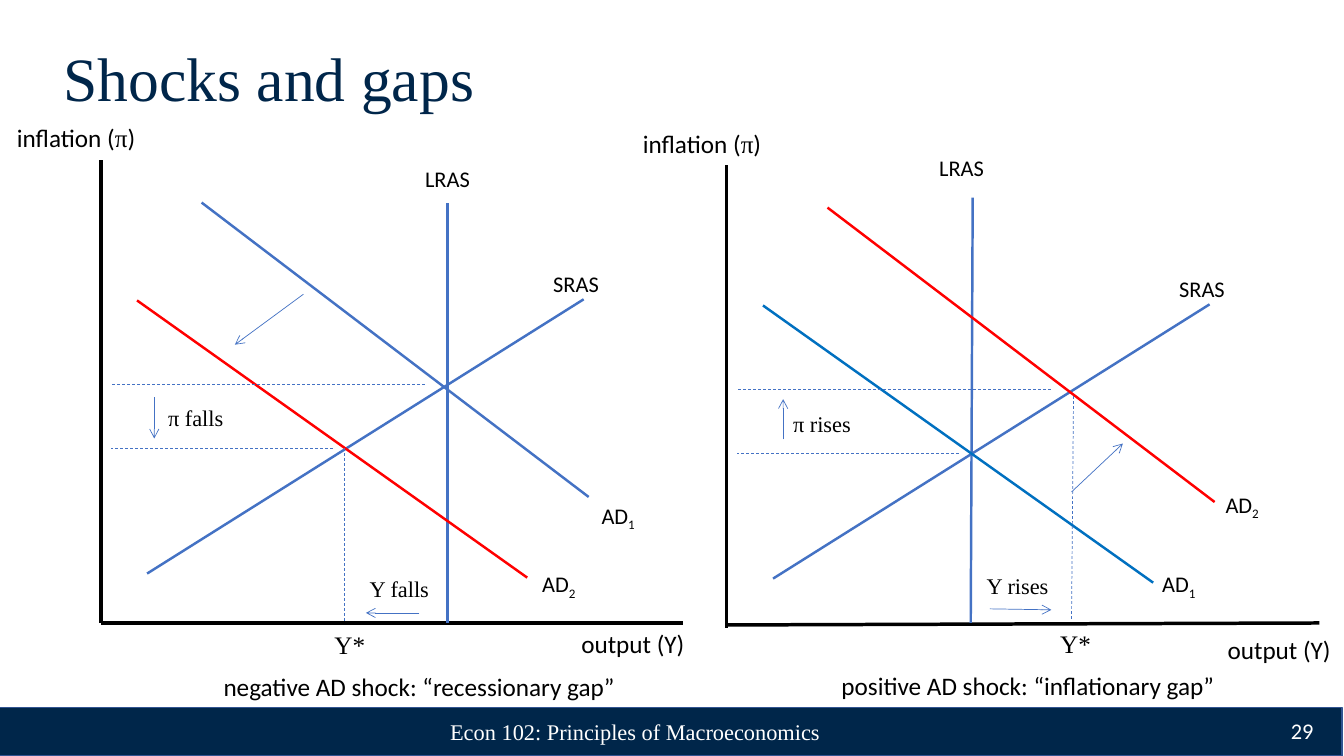
from lxml import etree
from pptx import Presentation
from pptx import util as u
from pptx.dml.color import RGBColor
from pptx.enum import dml, shapes, text
from pptx.oxml import ns

Pt = u.Pt
COLORS = {
    "navy": "00264A", "bar edge": "325491", "white": "FFFFFF", "black": "000000",
    "blue": "4472C4", "bright blue": "0070C0", "red": "FF0000",
}
SANS, SERIF = "Calibri", "Times New Roman"
LEFT, CENTER, RIGHT = text.PP_ALIGN.LEFT, text.PP_ALIGN.CENTER, text.PP_ALIGN.RIGHT

prs = Presentation()
prs.slide_width, prs.slide_height = Pt(960), Pt(540)
slide = prs.slides.add_slide(prs.slide_layouts[6])


def add_line(ends, color="blue", width=0.5, dashed=False, arrow=False):
    """Draw a straight line through ends (x1, y1, x2, y2), in points."""
    line = slide.shapes.add_connector(
        shapes.MSO_CONNECTOR.STRAIGHT, *[Pt(value) for value in ends])
    line.line.color.rgb = RGBColor.from_string(COLORS[color])
    line.line.width = Pt(width)
    if dashed:
        line.line.dash_style = dml.MSO_LINE.DASH
    if arrow:
        etree.SubElement(line.line._get_or_add_ln(), ns.qn("a:tailEnd"), type="arrow")
    etree.SubElement(line._element.spPr, ns.qn("a:effectLst"))


def add_label(box, runs, size=16, color="black", align=LEFT, framed=False):
    """Write runs of (text, font, is subscript); framed text is wrapped and inset."""
    label = slide.shapes.add_textbox(*[Pt(value) for value in box])
    frame = label.text_frame
    frame.word_wrap = framed
    if framed:
        frame.vertical_anchor = text.MSO_ANCHOR.MIDDLE
        frame.margin_left = frame.margin_right = Pt(9.36)
        frame.margin_top = frame.margin_bottom = Pt(5.04)
    else:
        frame.auto_size = text.MSO_AUTO_SIZE.SHAPE_TO_FIT_TEXT
    paragraph = frame.paragraphs[0]
    paragraph.alignment = align
    for words, font, subscript in runs:
        run = paragraph.add_run()
        run.text = words
        run.font.name, run.font.size = font, Pt(size)
        run.font.color.rgb = RGBColor.from_string(COLORS[color])
        if subscript:
            run.font._element.set("baseline", "-25000")
    return paragraph


# Title and footer
footer_bar = slide.shapes.add_shape(
    shapes.MSO_SHAPE.RECTANGLE, Pt(-1.4), Pt(505.4), Pt(960), Pt(34.6))
footer_bar.shadow.inherit = False
footer_bar.fill.solid()
footer_bar.fill.fore_color.rgb = RGBColor.from_string(COLORS["navy"])
footer_bar.line.color.rgb = RGBColor.from_string(COLORS["bar edge"])
footer_bar.line.width = Pt(1)

title = add_label((36, 28.8, 888, 58.3), [("Shocks and gaps", SERIF, False)],
                  44, "navy", framed=True)
title.line_spacing = 0.9
add_label((291.6, 508.3, 324, 28.8),
          [("Econ 102: Principles of Macroeconomics", SERIF, False)],
          color="white", align=CENTER, framed=True)
add_label((880.6, 507.6, 67, 28.8), [("29", SANS, False)],
          color="white", align=RIGHT, framed=True)

# The two diagrams share their curves; the second is shifted right and slightly down
diagrams = [
    {
        "shift": (0, 0),
        "outer AD": "blue", "inner AD": "red",
        "output axis": (72, 445, 488.2, 445),
        "LRAS": (319.7, 445, 319.7, 144.7),
        "output gap": (246.2, 443.5, 246.2, 319.7),
        "arrows": [(216.7, 210.2, 167.8, 246.2), (110.2, 283.7, 110.2, 313.2),
                   (299.5, 437.8, 261.4, 437.8)],
        "AD labels": [("1", 422.6, 355), ("2", 380.2, 403.9)],
        "large labels": [("negative AD shock: “recessionary gap”", SANS, 152.6, 475.9, 298),
                         ("output (Y)", SANS, 408.2, 445, 89.3),
                         ("Y*", SERIF, 231.8, 445.7, 38.2)],
        "small labels": [("LRAS", SANS, 296.6, 114.5, 46.8),
                         ("π falls", SERIF, 113, 285.1, 54.7),
                         ("Y falls", SERIF, 257, 407.5, 57.6)],
    },
    {
        "shift": (447.1, 3.6),
        "outer AD": "red", "inner AD": "bright blue",
        "output axis": (519.1, 446.4, 942.5, 445),
        "LRAS": (693.4, 445, 694.8, 141.1),
        "output gap": (765.4, 442.1, 766.8, 283),
        "arrows": [(765.4, 351.4, 802.1, 316.8), (559.4, 313.9, 559.4, 285.1),
                   (707, 434.9, 751, 435.6)],
        "AD labels": [("1", 823, 403.9), ("2", 868.3, 347)],
        "large labels": [("positive AD shock: “inflationary gap”", SANS, 594, 475.2, 283.7),
                         ("output (Y)", SANS, 869.8, 449.3, 89.3),
                         ("Y*", SERIF, 750.2, 445, 38.2)],
        "small labels": [("LRAS", SANS, 663.8, 106.6, 46.8),
                         ("π rises", SERIF, 559.4, 289.4, 56.9),
                         ("Y rises", SERIF, 697.7, 405.4, 59)],
    },
]

for diagram in diagrams:
    dx, dy = diagram["shift"]
    shared_lines = [
        ((72, 114.5, 72, 445), "black", 2.5, False),
        ((105.1, 409.7, 416.9, 213.8), "blue", 1.75, False),
        ((144, 144.7, 420.5, 355), diagram["outer AD"], 1.75, False),
        ((97.9, 214.6, 376.6, 412.6), diagram["inner AD"], 1.75, False),
        ((303.5, 274.5, 79, 274.5), "blue", 0.5, True),
        ((237.6, 320, 79, 320), "blue", 0.5, True),
    ]
    add_line(diagram["output axis"], "black", 2.5)
    add_line(diagram["LRAS"], width=1.75)
    for (x1, y1, x2, y2), color, width, dashed in shared_lines:
        add_line((x1 + dx, y1 + dy, x2 + dx, y2 + dy), color, width, dashed)
    add_line(diagram["output gap"], dashed=True)
    for arrow in diagram["arrows"]:
        add_line(arrow, arrow=True)

    add_label((5 + dx, 84.2 + dy, 100, 28.8),
              [("inflation (", SANS, False), ("π", SERIF, False), (")", SANS, False)], 18)
    add_label((388.1 + dx, 189.4 + dy, 47.5, 26.6), [("SRAS", SANS, False)])
    for number, x, y in diagram["AD labels"]:
        add_label((x, y, 39.6, 26.6), [("AD", SANS, False), (number, SANS, True)])
    for key, size, height in [("large labels", 18, 28.8), ("small labels", 16, 26.6)]:
        for words, font, x, y, width in diagram[key]:
            add_label((x, y, width, height), [(words, font, False)], size)

prs.save("out.pptx")
